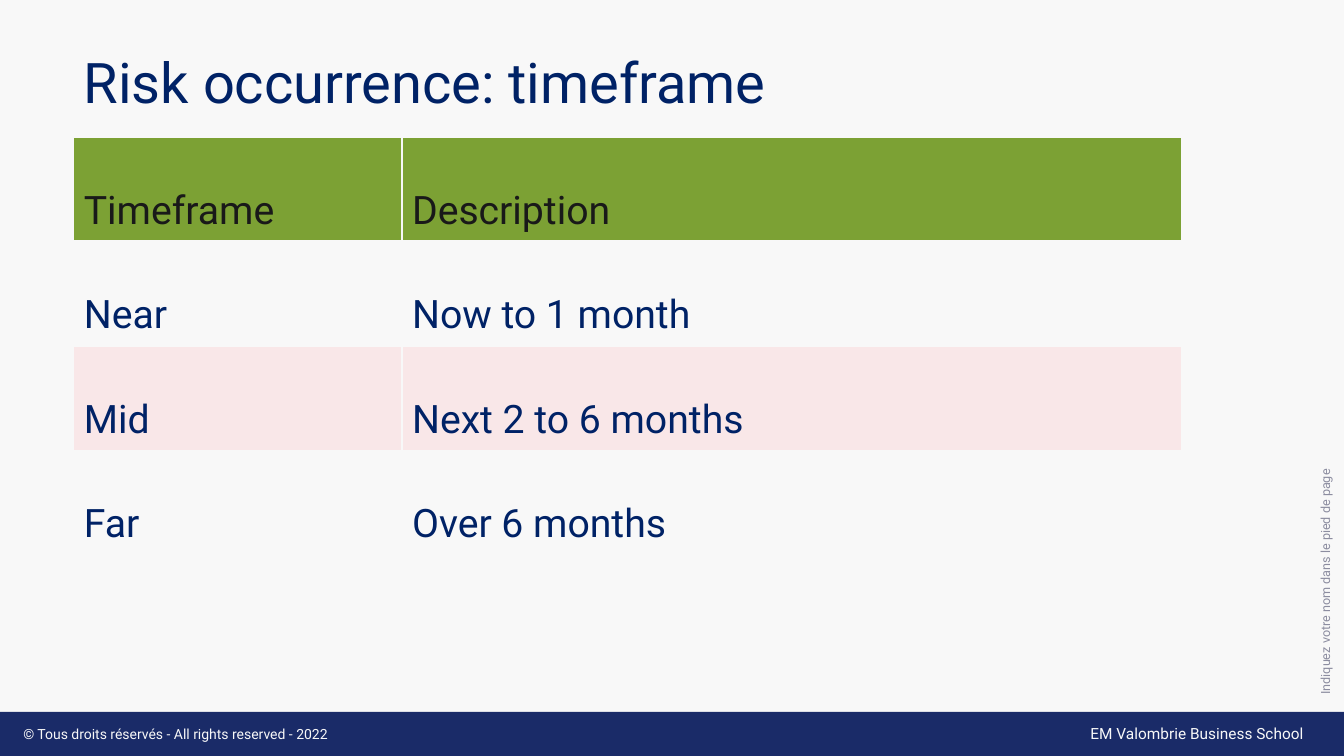
from dataclasses import dataclass

from lxml import etree
from pptx import Presentation
from pptx.dml.color import RGBColor
from pptx.enum.shapes import MSO_SHAPE
from pptx.enum.text import MSO_ANCHOR, PP_ALIGN
from pptx.oxml.ns import qn
from pptx.util import Pt

RECTANGLE = MSO_SHAPE.RECTANGLE
MIDDLE = MSO_ANCHOR.MIDDLE
TOP = MSO_ANCHOR.TOP
LEFT = PP_ALIGN.LEFT

TITLE = "Risk occurrence: timeframe"
COPYRIGHT = "© Tous droits réservés - All rights reserved - 2022"
SCHOOL = "EM Valombrie Business School"
SIDE_NOTE = "Indiquez votre nom dans le pied de page"
ROWS = [
    ("Timeframe", "Description"),
    ("Near", "Now to 1 month"),
    ("Mid", "Next 2 to 6 months"),
    ("Far", "Over 6 months"),
]


@dataclass(frozen=True)
class Theme:
    font: str = "Roboto"
    background: str = "F8F8F8"
    footer: str = "1A2B68"
    navy: str = "002266"
    header_text: str = "191919"
    header_fill: str = "7CA134"
    band_fill: str = "F9E7E8"
    note: str = "8C8DA0"
    title_size: float = 40
    table_size: float = 28
    school_size: float = 11
    copyright_size: float = 10
    note_size: float = 9


THEME = Theme()
SLIDE_WIDTH, SLIDE_HEIGHT = 960, 540
FOOTER_TOP = 508.5
CONTENT_LEFT = 52.7
TABLE_TOP = 98.2
COLUMN_WIDTHS = (234.5, 556.5)
ROW_HEIGHT = 72


def box(left, top, width, height):
    return Pt(left), Pt(top), Pt(width), Pt(height)


def write(frame, text, size, color, spacing=1.0):
    frame.text = text
    paragraph = frame.paragraphs[0]
    paragraph.alignment = LEFT
    paragraph.line_spacing = spacing
    font = paragraph.runs[0].font
    font.name = THEME.font
    font.size = Pt(size)
    font.bold = False
    font.color.rgb = RGBColor.from_string(color)


def add_text(slide, place, text, size, color, anchor=TOP):
    shape = slide.shapes.add_textbox(*box(*place))
    frame = shape.text_frame
    frame.word_wrap = True
    frame.vertical_anchor = anchor
    write(frame, text, size, color)
    return shape


def set_borders(cell, bottom_width):
    properties = cell._tc.get_or_add_tcPr()
    widths = {"a:lnL": 1, "a:lnR": 1, "a:lnT": 1, "a:lnB": bottom_width}
    for position, (tag, width) in enumerate(widths.items()):
        line = etree.Element(qn(tag), w=str(Pt(width)))
        fill = etree.SubElement(line, qn("a:solidFill"))
        etree.SubElement(fill, qn("a:srgbClr"), val=THEME.background)
        properties.insert(position, line)


def add_footer(slide):
    bar = slide.shapes.add_shape(
        RECTANGLE, *box(0, FOOTER_TOP, SLIDE_WIDTH, SLIDE_HEIGHT - FOOTER_TOP)
    )
    bar.shadow.inherit = False
    bar.fill.solid()
    bar.fill.fore_color.rgb = RGBColor.from_string(THEME.footer)
    bar.line.fill.background()
    add_text(slide, (771.8, 514, 176.4, 20.6), SCHOOL, THEME.school_size, THEME.background)
    add_text(slide, (9.6, 514.8, 318, 19.4), COPYRIGHT, THEME.copyright_size, THEME.background)


def add_title(slide):
    title = slide.shapes.title
    title.left, title.top, title.width, title.height = box(CONTENT_LEFT, 35.3, 828, 51)
    title.text_frame.vertical_anchor = MIDDLE
    write(title.text_frame, TITLE, THEME.title_size, THEME.navy, 0.9)


def add_side_note(slide):
    place = (938.2, 35.3, 16.6, 468)
    note = add_text(slide, place, SIDE_NOTE, THEME.note_size, THEME.note, MIDDLE)
    frame = note.text_frame
    frame.margin_left = frame.margin_right = Pt(3.6)
    frame.margin_top = frame.margin_bottom = Pt(3.6)
    note.element.txBody.bodyPr.set("vert", "vert270")


def add_timeframe_table(slide):
    place = (CONTENT_LEFT, TABLE_TOP, sum(COLUMN_WIDTHS), ROW_HEIGHT * len(ROWS))
    table = slide.shapes.add_table(len(ROWS), len(COLUMN_WIDTHS), *box(*place)).table
    for column, width in zip(table.columns, COLUMN_WIDTHS):
        column.width = Pt(width)
    for row_index, row in enumerate(ROWS):
        is_header = row_index == 0
        band = THEME.background if row_index % 2 else THEME.band_fill
        fill = THEME.header_fill if is_header else band
        color = THEME.header_text if is_header else THEME.navy
        for column_index, text in enumerate(row):
            cell = table.cell(row_index, column_index)
            cell.fill.solid()
            cell.fill.fore_color.rgb = RGBColor.from_string(fill)
            write(cell.text_frame, text, THEME.table_size, color, 2.0)
            set_borders(cell, 3 if is_header else 1)


def main():
    presentation = Presentation()
    presentation.slide_width = Pt(SLIDE_WIDTH)
    presentation.slide_height = Pt(SLIDE_HEIGHT)
    slide = presentation.slides.add_slide(presentation.slide_layouts[5])
    slide.background.fill.solid()
    slide.background.fill.fore_color.rgb = RGBColor.from_string(THEME.background)
    add_footer(slide)
    add_title(slide)
    add_side_note(slide)
    add_timeframe_table(slide)
    presentation.save("out.pptx")


if __name__ == "__main__":
    main()
